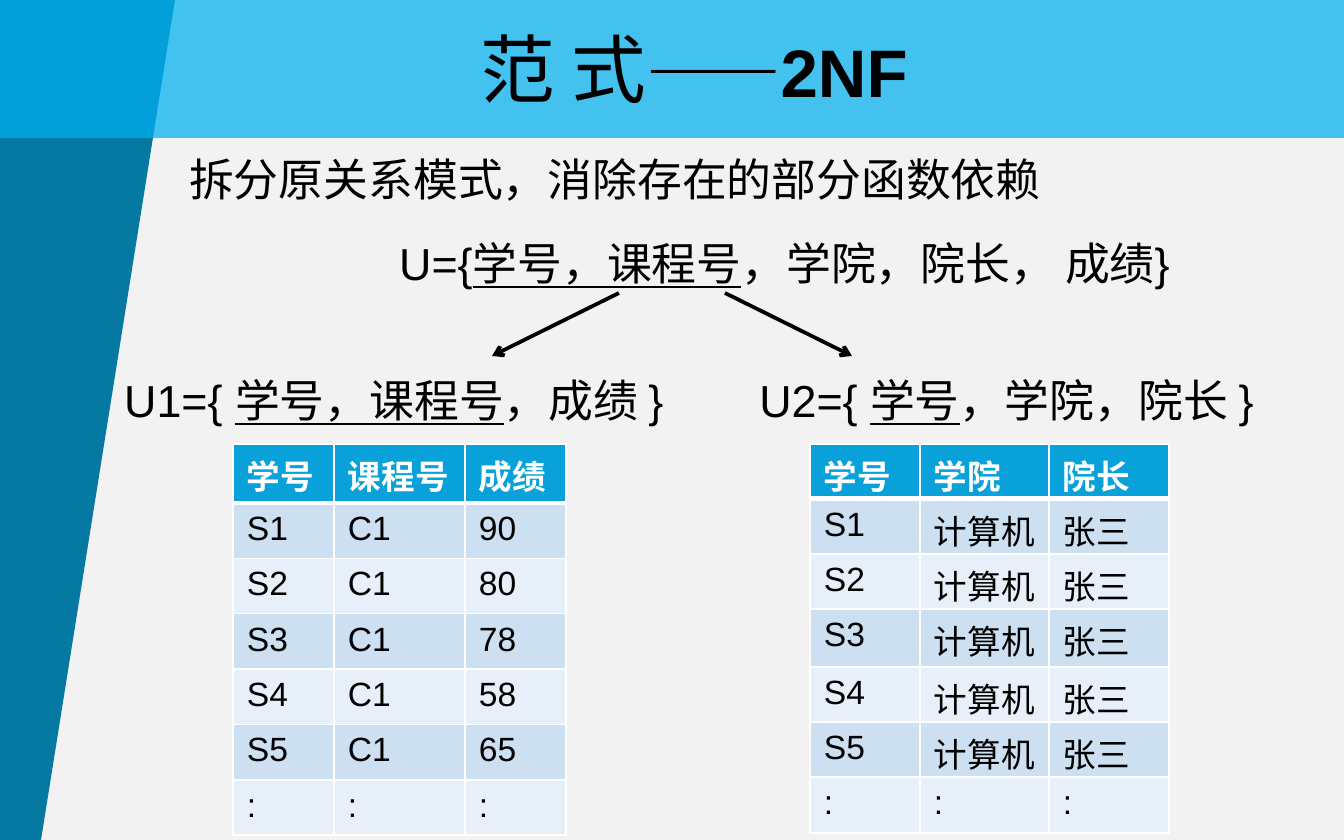
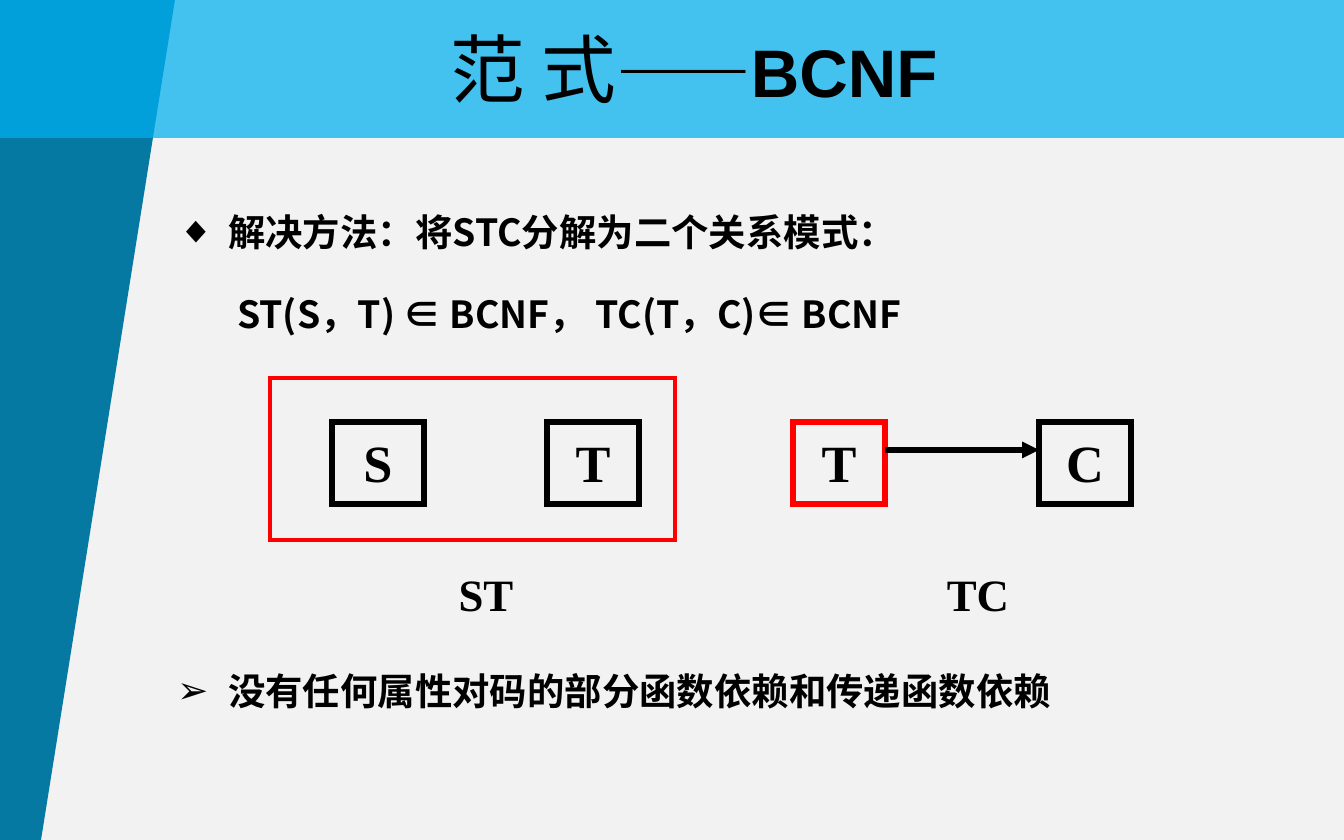
from dataclasses import dataclass

from lxml.etree import SubElement
from pptx import Presentation
from pptx.dml.color import RGBColor
from pptx.enum.shapes import MSO_CONNECTOR, MSO_SHAPE
from pptx.enum.text import MSO_ANCHOR, MSO_AUTO_SIZE, PP_ALIGN
from pptx.oxml.ns import qn
from pptx.util import Emu, Pt


@dataclass(frozen=True)
class Theme:
    background: str = "F2F2F2"
    wedge: str = "0679A3"
    band: str = "00B0F0"
    band_alpha: int = 72000
    ink: str = "000000"
    accent: str = "FF0000"
    white: str = "FFFFFF"
    header: str = "08A1D9"
    stripes: tuple = ("CCE0F1", "E7F0F8")
    sans: str = "Arial"
    cjk: str = "Noto Sans CJK SC"
    serif: str = "Times New Roman"
    title: int = 40
    title_term: int = 36
    body: int = 24
    bullet: int = 20
    cell: int = 18
    node: int = 28


T = Theme()
SLIDE_SIZE = (1344, 840)
TITLE_BOX = (176, 1, 1036, 133)
BAND_BOX = (-1, 0, 1345, 138)
WEDGE = ((0, -1), (175, 0), (40, 847), (-1, 845))


def px(n):
    return Emu(round(n * 914400 / 134.4))


def rgb(color):
    return RGBColor.from_string(color)


def set_attrs(obj, **values):
    for name, value in values.items():
        setattr(obj, name, value)


def add_run(p, text, size, font=T.sans, color=T.ink, **fmt):
    r = p.add_run()
    r.text = text
    set_attrs(r.font, size=Pt(size), name=font, **fmt)
    r.font.color.rgb = rgb(color)
    SubElement(r._r.get_or_add_rPr(), qn("a:ea"), typeface=T.cjk)


def add_textbox(s, box):
    tf = s.shapes.add_textbox(*map(px, box)).text_frame
    tf.word_wrap = True
    return tf


def add_rect(s, box, fill=None, line=None, width=0):
    sp = s.shapes.add_shape(MSO_SHAPE.RECTANGLE, *map(px, box))
    sp.shadow.inherit = False
    if fill:
        sp.fill.solid()
        sp.fill.fore_color.rgb = rgb(fill)
    else:
        sp.fill.background()
    if line:
        sp.line.color.rgb = rgb(line)
        sp.line.width = Pt(width)
        SubElement(sp.element.spPr.find(qn("a:ln")), qn("a:miter"), lim="800000")
    else:
        sp.line.fill.background()
    return sp


def add_arrow(s, start, end, width, head):
    c = s.shapes.add_connector(MSO_CONNECTOR.STRAIGHT, *map(px, (*start, *end)))
    c.line.color.rgb = rgb(T.ink)
    c.line.width = Pt(width)
    SubElement(c.element.spPr.find(qn("a:ln")), qn("a:tailEnd"), type=head)
    SubElement(c.element.spPr, qn("a:effectLst"))


def add_backdrop(prs, layout, s):
    fill = prs.slide_master.background.fill
    fill.solid()
    fill.fore_color.rgb = rgb(T.background)
    for ph in list(layout.placeholders):
        if ph.placeholder_format.idx >= 10:
            layout.shapes.element.remove(ph.element)
    start, *rest = WEDGE
    builder = s.shapes.build_freeform(*start, scale=px(1000) / 1000)
    builder.add_line_segments(rest, close=True)
    wedge = builder.convert_to_shape()
    wedge.shadow.inherit = False
    wedge.fill.solid()
    wedge.fill.fore_color.rgb = rgb(T.wedge)
    wedge.line.fill.background()
    band = add_rect(s, BAND_BOX, T.band)
    color = band.element.spPr.find(f"{qn('a:solidFill')}/{qn('a:srgbClr')}")
    SubElement(color, qn("a:alpha"), val=str(T.band_alpha))
    for i, sp in enumerate((wedge, band)):
        layout.shapes.element.insert(2 + i, sp.element)


def set_title(s, term):
    title = s.shapes.title
    set_attrs(title, **dict(zip(("left", "top", "width", "height"), map(px, TITLE_BOX))))
    tf = title.text_frame
    set_attrs(tf, word_wrap=True, auto_size=MSO_AUTO_SIZE.NONE,
              vertical_anchor=MSO_ANCHOR.MIDDLE)
    p = tf.paragraphs[0]
    p.alignment = PP_ALIGN.CENTER
    add_run(p, "范 式", T.title)
    add_run(p, f"——{term}", T.title_term, bold=True)


def add_schema(s, box, before, key, after):
    p = add_textbox(s, box).paragraphs[0]
    p.alignment = PP_ALIGN.JUSTIFY
    add_run(p, before, T.body)
    add_run(p, key, T.body, underline=True)
    add_run(p, after, T.body)


def set_borders(cell, bottom):
    tcPr = cell._tc.get_or_add_tcPr()
    for i, (side, width) in enumerate((("L", 1), ("R", 1), ("T", 1), ("B", bottom))):
        ln = tcPr.makeelement(qn(f"a:ln{side}"), {"w": str(Pt(width))})
        SubElement(SubElement(ln, qn("a:solidFill")), qn("a:srgbClr"), val=T.white)
        tcPr.insert(i, ln)


def add_relation(s, left, top, widths, heights, rows):
    box = (left, top, sum(widths), sum(heights))
    table = s.shapes.add_table(len(rows), len(widths), *map(px, box)).table
    for column, width in zip(table.columns, widths):
        column.width = px(width)
    for i, (row, height, values) in enumerate(zip(table.rows, heights, rows)):
        row.height = px(height)
        head = i == 0
        for cell, value in zip(row.cells, values):
            set_attrs(cell, margin_left=px(14), margin_right=px(13),
                      margin_top=px(7), margin_bottom=px(7))
            cell.fill.solid()
            cell.fill.fore_color.rgb = rgb(T.header if head else T.stripes[(i - 1) % 2])
            set_borders(cell, 3 if head else 1)
            p = cell.text_frame.paragraphs[0]
            p.alignment = PP_ALIGN.JUSTIFY
            add_run(p, value, T.cell, color=T.white if head else T.ink, bold=head)


def add_points(s, box, points, spacing):
    tf = add_textbox(s, box)
    for i, (bullet, margin, text) in enumerate(points):
        p = tf.add_paragraph() if i else tf.paragraphs[0]
        set_attrs(p, line_spacing=spacing, space_before=Pt(8))
        pPr = p._p.get_or_add_pPr()
        pPr.set("marL", str(px(margin)))
        if bullet:
            pPr.set("indent", str(-px(margin)))
            SubElement(pPr, qn("a:buFont"), typeface=T.sans)
            SubElement(pPr, qn("a:buChar"), char=bullet)
        add_run(p, text, T.bullet, T.cjk, bold=True)


def add_node_text(tf, text, size):
    p = tf.paragraphs[0]
    p.alignment = PP_ALIGN.CENTER
    add_run(p, text, size, T.serif, bold=True)


def add_pair(s, left, top, pitch, names, first_line=T.ink, arrow=False):
    width, height, label_width = 92, 82, 122
    for i, (name, line) in enumerate(zip(names, (first_line, T.ink))):
        sp = add_rect(s, (left + i * pitch, top, width, height), line=line, width=3)
        sp.text_frame.margin_top = px(3)
        add_node_text(sp.text_frame, name, T.node)
    if arrow:
        add_arrow(s, (left + width, top + 28), (left + pitch, top + 28), 3, "triangle")
    label = add_textbox(s, (left + pitch - label_width, top + 138, label_width, height))
    add_node_text(label, names, T.body)


def build_2nf(s):
    set_title(s, "2NF")
    p = add_textbox(s, (176, 145, 958, 67)).paragraphs[0]
    p.alignment = PP_ALIGN.JUSTIFY
    add_run(p, "拆分原关系模式，消除存在的部分函数依赖", T.body, T.cjk)
    add_schema(s, (386, 229, 825, 67), "U={", "学号，课程号", "，学院，院长， 成绩}")
    add_schema(s, (111, 366, 594, 67), "U1={ ", "学号，课程号", "，成绩 }")
    add_schema(s, (746, 366, 571, 67), "U2={ ", "学号", "，学院，院长 }")
    for start, end in ((619, 492), (725, 852)):
        add_arrow(s, (start, 293), (end, 356), 2, "arrow")
    students = [f"S{n}" for n in range(1, 6)]
    scores = zip(students, ("90", "80", "78", "58", "65"))
    add_relation(s, 233, 444, (101, 131, 101), (59, *[55.4] * 6),
                 [("学号", "课程号", "成绩"),
                  *((student, "C1", score) for student, score in scores), ":::"])
    add_relation(s, 810, 444, (110, 129, 120), (55, 55, 55, 58, 55, 55, 56),
                 [("学号", "学院", "院长"),
                  *((student, "计算机", "张三") for student in students), ":::"])


def build_bcnf(s):
    set_title(s, "BCNF")
    add_points(s, (164, 180, 1164, 180),
               [("◆", 51, "解决方法：将STC分解为二个关系模式："),
                (None, 60, "ST(S，T) ∈ BCNF， TC(T，C)∈ BCNF")], 1.5)
    add_pair(s, 332, 422, 215, "ST")
    add_pair(s, 793, 422, 246, "TC", T.accent, arrow=True)
    add_rect(s, (270, 378, 405, 162), line=T.accent, width=2.25)
    add_points(s, (164, 653, 1164, 100),
               [("➢", 51, "没有任何属性对码的部分函数依赖和传递函数依赖")], 1.2)


def main():
    prs = Presentation()
    prs.slide_width, prs.slide_height = map(px, SLIDE_SIZE)
    layout = prs.slide_layouts[5]
    slides = [prs.slides.add_slide(layout) for _ in range(2)]
    add_backdrop(prs, layout, slides[0])
    for build, s in zip((build_2nf, build_bcnf), slides):
        build(s)
    prs.save("out.pptx")


if __name__ == "__main__":
    main()
